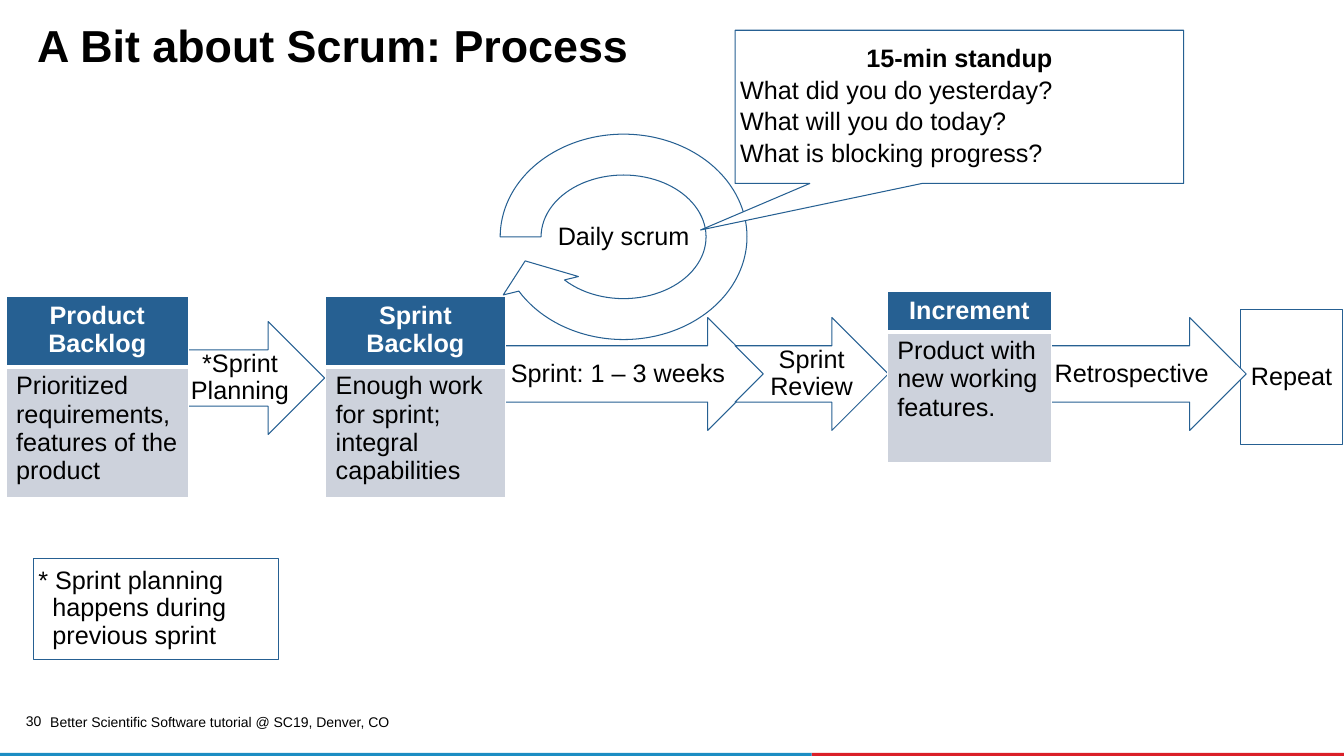
import pptx
import pptx.util
import pptx.dml.color
import pptx.enum.shapes
import pptx.enum.text
import pptx.oxml.ns
from lxml import etree

Inches, Pt = pptx.util.Inches, pptx.util.Pt
SHAPE = pptx.enum.shapes.MSO_SHAPE
ALIGN = pptx.enum.text.PP_ALIGN
ANCHOR = pptx.enum.text.MSO_ANCHOR
qn = pptx.oxml.ns.qn

# Content
TITLE = "A Bit about Scrum: Process"
FOOTER = "Better Scientific Software tutorial @ SC19, Denver, CO"
PAGE_NUMBER = "30"
STANDUP = ["15-min standup", "What did you do yesterday?",
           "What will you do today?", "What is blocking progress?"]
FOOTNOTE = "* Sprint planning\vhappens during\vprevious sprint"
REPEAT_BOX = ("Repeat", 12.3, 3.07, 1.02, 1.34)
CYCLE = ("Daily scrum", 4.78, 1.15, 2.81, 2.4)
CYCLE_ADJUSTMENTS = (0.169, 10.104, 89.643, 108, 0.16)
# Arrows: text, left, top, width
BACK_ARROWS = [("Retrospective", 10.09, 3.15, 2.27),
               ("Sprint: 1 – 3 weeks", 4.68, 3.15, 2.9),
               ("*Sprint Planning", 1.54, 3.19, 1.68)]
REVIEW_ARROW = ("Sprint Review", 7.29, 3.15, 1.52)
# Tables: heading, body, left, top, width
BACKLOGS = [
    ("Product Backlog", "Prioritized requirements, features of the product", 0.06, 2.94, 1.81),
    ("Sprint Backlog", "Enough work for sprint; integral capabilities", 3.23, 2.94, 1.78),
]
INCREMENT = ("Increment", "Product with new working features.", 8.8, 2.89, 1.63)
BANDS = [("red", 8.05, 5.29), ("sky", -0.01, 8.06)]

# Theme
THEME = {
    "font": "Arial", "title": 32, "body": 18, "small": 10, "line": 0.75,
    "black": "000000", "white": "FFFFFF", "blue": "266092", "gray": "CDD2DC",
    "red": "DA1F28", "sky": "1B8DC3",
}
ARROW_HEIGHT = 1.12
ROW_HEIGHTS = (0.4, 1.3)

presentation = pptx.Presentation()
presentation.slide_width, presentation.slide_height = Inches(13.33), Inches(7.5)
slide = presentation.slides.add_slide(presentation.slide_layouts[6])


def color(name):
    return pptx.dml.color.RGBColor.from_string(THEME[name])


def write(paragraph, text, size="body", ink="black", bold=False, **layout):
    paragraph.text = text
    for name, value in layout.items():
        setattr(paragraph, name, value)
    for run in paragraph.runs:
        values = {"name": THEME["font"], "size": Pt(THEME[size]), "bold": bold}
        for name, value in values.items():
            setattr(run.font, name, value)
        run.font.color.rgb = color(ink)


def set_frame(frame, inset=None, anchor=ANCHOR.MIDDLE):
    frame.word_wrap = True
    frame.vertical_anchor = anchor
    if inset is not None:
        for side in ("left", "top", "right", "bottom"):
            setattr(frame, f"margin_{side}", Inches(inset))


def add_label(text, left, top, width, height, inset=None, anchor=ANCHOR.MIDDLE, **format_values):
    box = slide.shapes.add_textbox(*map(Inches, (left, top, width, height)))
    set_frame(box.text_frame, inset, anchor)
    write(box.text_frame.paragraphs[0], text, **format_values)


def add_outlined(kind, text, left, top, width, height, align=ALIGN.CENTER, adjustments=()):
    shape = slide.shapes.add_shape(kind, *map(Inches, (left, top, width, height)))
    shape.shadow.inherit = False
    shape.fill.solid()
    shape.fill.fore_color.rgb = color("white")
    shape.line.color.rgb = color("blue")
    shape.line.width = Pt(THEME["line"])
    for index, value in enumerate(adjustments):
        shape.adjustments[index] = value
    set_frame(shape.text_frame, 0.05)
    write(shape.text_frame.paragraphs[0], text, alignment=align, line_spacing=0.9)
    return shape


def add_arrow(text, left, top, width):
    add_outlined(SHAPE.NOTCHED_RIGHT_ARROW, text, left, top, width, ARROW_HEIGHT)


def set_borders(cell, widths):
    properties = cell._tc.get_or_add_tcPr()
    for index, (side, width) in enumerate(widths.items()):
        border = etree.Element(qn(f"a:ln{side}"), w=str(Pt(width)))
        fill = etree.SubElement(border, qn("a:solidFill"))
        etree.SubElement(fill, qn("a:srgbClr"), val=THEME["white"])
        properties.insert(index, border)


def add_card(heading, body, left, top, width):
    frame = slide.shapes.add_table(2, 1, *map(Inches, (left, top, width, sum(ROW_HEIGHTS))))
    table = frame.table
    rows = [(heading, "blue", "white", True, ALIGN.CENTER, {"L": 1, "R": 1, "T": 1, "B": 3}),
            (body, "gray", "black", False, ALIGN.LEFT, {"L": 1, "R": 1, "T": 3, "B": 1})]
    for index, (text, fill, ink, bold, align, borders) in enumerate(rows):
        table.rows[index].height = Inches(ROW_HEIGHTS[index])
        cell = table.cell(index, 0)
        cell.fill.solid()
        cell.fill.fore_color.rgb = color(fill)
        set_borders(cell, borders)
        write(cell.text_frame.paragraphs[0], text, ink=ink, bold=bold, alignment=align)


# Footer
for name, left, width in BANDS:
    band = slide.shapes.add_shape(SHAPE.RECTANGLE, *map(Inches, (left, 7.47, width, 0.03)))
    band.shadow.inherit = False
    band.fill.solid()
    band.fill.fore_color.rgb = color(name)
    band.line.fill.background()
add_label(FOOTER, 0.4, 7.05, 3.74, 0.23, size="small")
add_label(PAGE_NUMBER, 0.18, 7.09, 0.23, 0.17, inset=0, anchor=ANCHOR.TOP,
          size="small", alignment=ALIGN.RIGHT, line_spacing=0.9)

# Process flow, back to front
add_outlined(SHAPE.RECTANGLE, *REPEAT_BOX)
for arrow in BACK_ARROWS:
    add_arrow(*arrow)
add_label(TITLE, 0.27, 0.21, 12.44, 0.56, anchor=ANCHOR.TOP,
          size="title", bold=True, line_spacing=0.85)
for backlog in BACKLOGS:
    add_card(*backlog)
add_outlined(SHAPE.CIRCULAR_ARROW, *CYCLE, adjustments=CYCLE_ADJUSTMENTS)
add_arrow(*REVIEW_ARROW)
add_card(*INCREMENT)

# Standup callout
callout = add_outlined(SHAPE.RECTANGULAR_CALLOUT, STANDUP[0], 7.29, 0.3, 4.45, 1.52,
                       adjustments=(-0.577, 0.804))
callout.text_frame.paragraphs[0].runs[0].font.bold = True
for question in STANDUP[1:]:
    write(callout.text_frame.add_paragraph(), question, alignment=ALIGN.LEFT,
          line_spacing=0.9, space_before=Pt(3))

# Footnote with a hanging indent
footnote = add_outlined(SHAPE.RECTANGLE, FOOTNOTE, 0.33, 5.54, 2.43, 1, align=ALIGN.LEFT)
indent = footnote.text_frame.paragraphs[0]._p.get_or_add_pPr()
indent.set("marL", str(Inches(0.14)))
indent.set("indent", str(-Inches(0.14)))

presentation.save("out.pptx")
